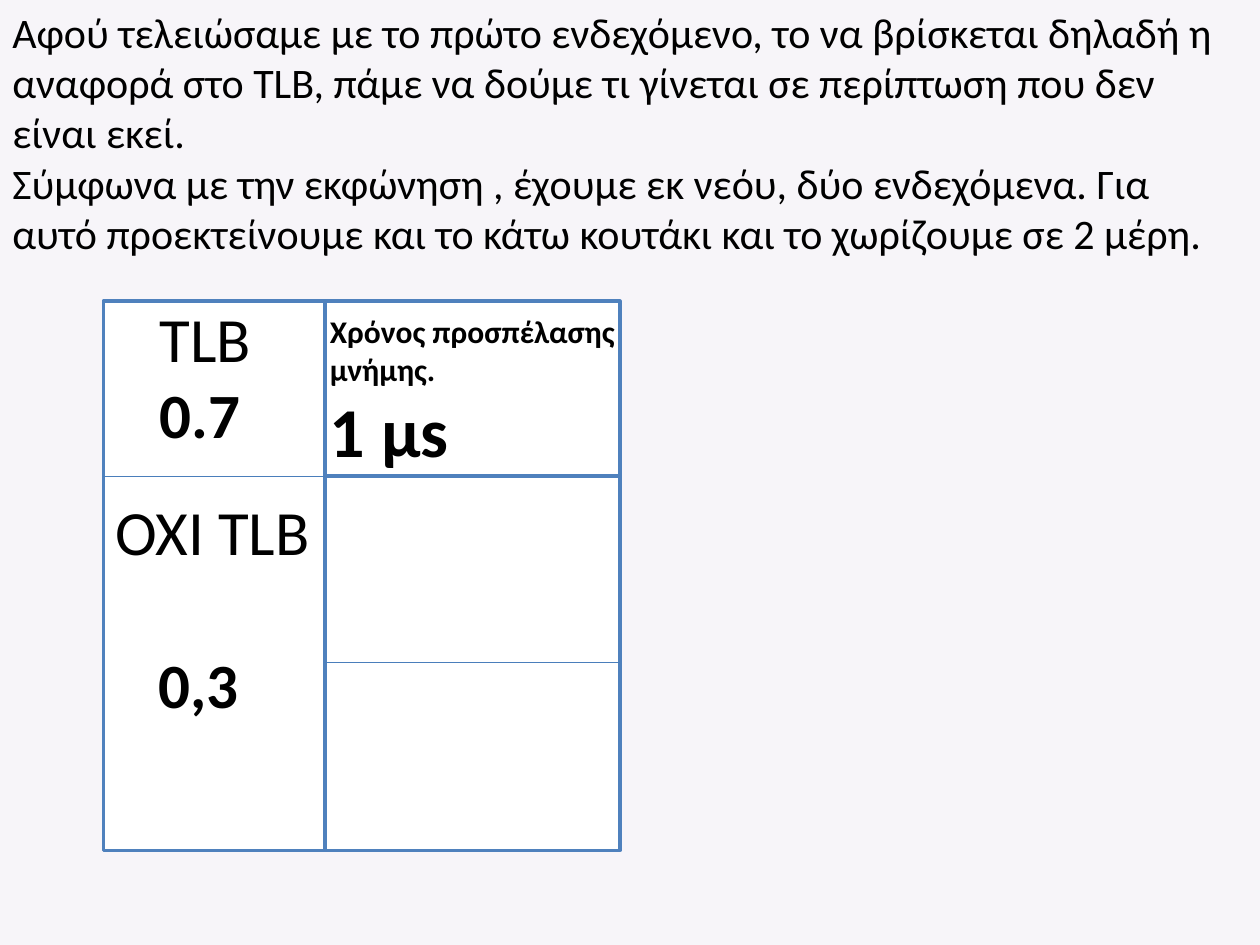
from dataclasses import dataclass

from pptx import Presentation as Deck
from pptx.dml.color import RGBColor as Color
from pptx.enum.shapes import MSO_CONNECTOR as Link, MSO_SHAPE as Form
from pptx.oxml.ns import qn
from pptx.slide import Slide
from pptx.text.text import TextFrame as Frame
from pptx.util import Inches, Pt


@dataclass(frozen=True)
class Theme:
    font: str = "Calibri"
    back: str = "F7F5F9"
    ink: str = "000000"
    fill: str = "FFFFFF"
    edge: str = "4F81BD"
    rule: str = "4A7EBB"
    note: int = 18
    body: int = 24
    label: int = 36
    value: int = 40
    thick: float = 2
    thin: float = 0.75


@dataclass(frozen=True)
class Box:
    left: float
    top: float
    width: float
    height: float

    def place(self) -> list[int]:
        return [Inches(n) for n in (self.left, self.top, self.width, self.height)]


THEME = Theme()
LEFT, SPLIT, RIGHT = 0.82, 2.58, 4.92
TOP, MIDDLE, BASE = 2.39, 3.78, 6.75
HALF = round((MIDDLE + BASE) / 2, 2)

CELLS = [
    Box(LEFT, TOP, SPLIT - LEFT, BASE - TOP),
    Box(SPLIT, TOP, RIGHT - SPLIT, MIDDLE - TOP),
    Box(SPLIT, MIDDLE, RIGHT - SPLIT, BASE - MIDDLE),
]
RULES = [(LEFT, SPLIT, MIDDLE), (SPLIT, RIGHT, HALF)]

INTRO = [
    "Αφού τελειώσαμε με το πρώτο ενδεχόμενο, το να βρίσκεται δηλαδή η "
    "αναφορά στο TLB, πάμε να δούμε τι γίνεται σε περίπτωση που δεν είναι εκεί.",
    "Σύμφωνα με την εκφώνηση , έχουμε εκ νεόυ, δύο ενδεχόμενα. Για αυτό "
    "προεκτείνουμε και το κάτω κουτάκι και το χωρίζουμε σε 2 μέρη.",
]


def add_cell(slide: Slide, box: Box) -> None:
    cell = slide.shapes.add_shape(Form.RECTANGLE, *box.place())
    cell.shadow.inherit = False
    cell.fill.solid()
    cell.fill.fore_color.rgb = Color.from_string(THEME.fill)
    cell.line.color.rgb = Color.from_string(THEME.edge)
    cell.line.width = Pt(THEME.thick)


def add_rule(slide: Slide, start: float, end: float, level: float) -> None:
    ends = [Inches(n) for n in (start, level, end, level)]
    rule = slide.shapes.add_connector(Link.STRAIGHT, *ends)
    rule.line.color.rgb = Color.from_string(THEME.rule)
    rule.line.width = Pt(THEME.thin)
    props = rule._element.spPr
    props.append(props.makeelement(qn("a:effectLst"), {}))


def add_frame(slide: Slide, box: Box) -> Frame:
    frame = slide.shapes.add_textbox(*box.place()).text_frame
    frame.word_wrap = True
    return frame


def write(frame: Frame, text: str, *, size: int, bold: bool = False,
          indent: float = 0, before: float = 0) -> None:
    para = frame.paragraphs[0] if not frame.text else frame.add_paragraph()
    if indent:
        props = para._p.get_or_add_pPr()
        props.set("marL", str(Inches(indent)))
        props.set("indent", "0")
    if before:
        para.space_before = Pt(before)
    run = para.add_run()
    run.text = text
    font = run.font
    font.name, font.size, font.bold = THEME.font, Pt(size), bold
    font.color.rgb = Color.from_string(THEME.ink)


def main() -> None:
    deck = Deck()
    deck.slide_width, deck.slide_height = Inches(10), Inches(7.5)
    slide = deck.slides.add_slide(deck.slide_layouts[6])
    back = slide.background.fill
    back.solid()
    back.fore_color.rgb = Color.from_string(THEME.back)

    for cell in CELLS:
        add_cell(slide, cell)
    for rule in RULES:
        add_rule(slide, *rule)

    intro = add_frame(slide, Box(0, 0, 9.97, 2.1))
    for text in INTRO:
        write(intro, text, size=THEME.body)

    hit = add_frame(slide, Box(1.17, 2.33, 1.42, 1.3))
    write(hit, "TLB", size=THEME.label)
    write(hit, "0.7", size=THEME.label, bold=True)

    miss = add_frame(slide, Box(LEFT, 3.86, 1.77, 1.9))
    write(miss, "ΟΧΙ TLB", size=THEME.label)
    write(miss, "0,3", size=THEME.label, bold=True, indent=0.34, before=44)

    time = add_frame(slide, Box(2.52, 2.43, 2.47, 2.04))
    write(time, "Χρόνος προσπέλασης μνήμης.", size=THEME.note, bold=True)
    write(time, "1 μs", size=THEME.value, bold=True)

    deck.save("out.pptx")


if __name__ == "__main__":
    main()
